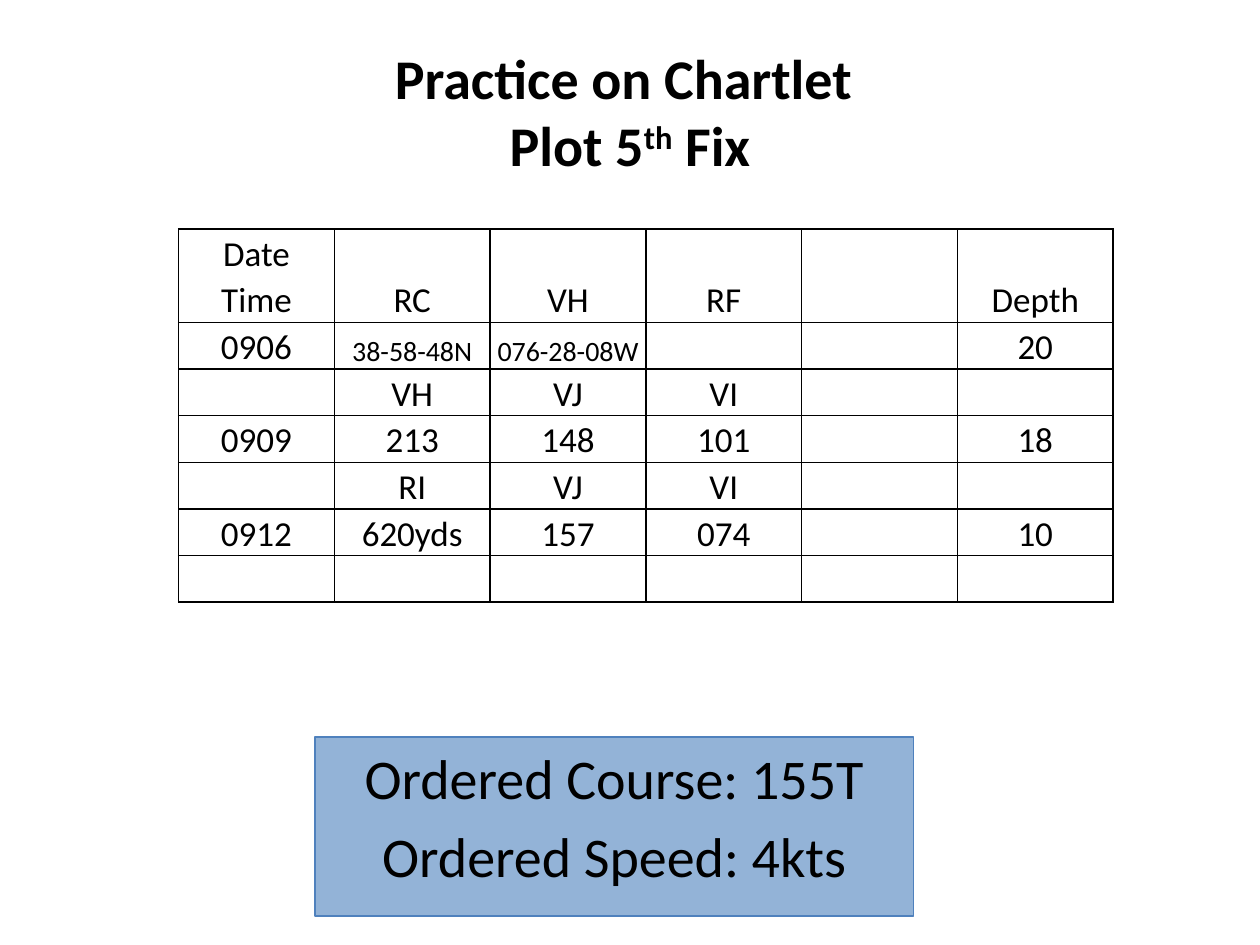
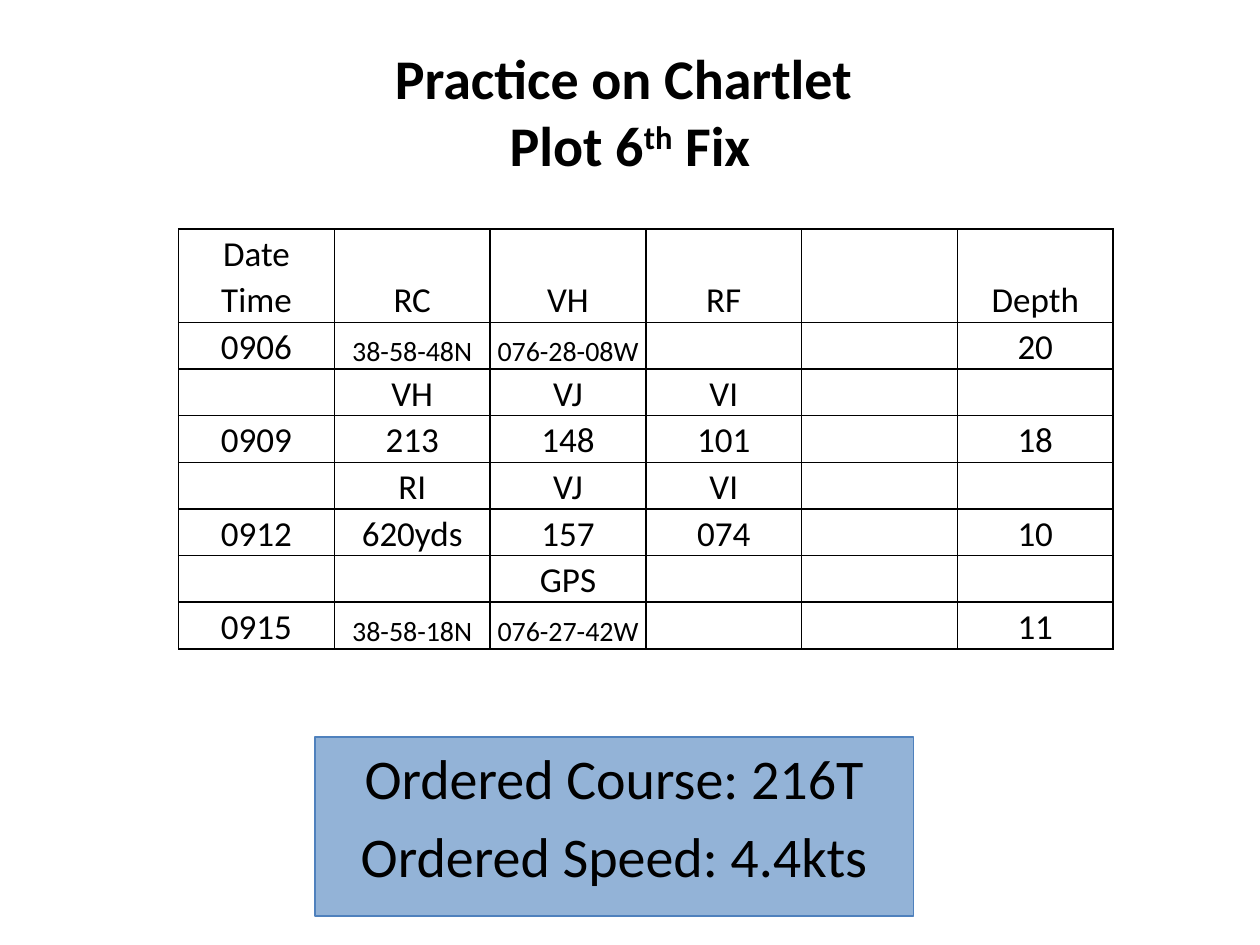
from lxml import etree
from pptx import Presentation
from pptx.dml.color import RGBColor
from pptx.enum.shapes import MSO_SHAPE
from pptx.enum.text import MSO_ANCHOR, PP_ALIGN
from pptx.oxml.ns import qn
from pptx.util import Cm, Pt

CENTER = PP_ALIGN.CENTER
TOP, MIDDLE, BOTTOM = MSO_ANCHOR.TOP, MSO_ANCHOR.MIDDLE, MSO_ANCHOR.BOTTOM
RECTANGLE = MSO_SHAPE.RECTANGLE

# Content: the log grows by one fix per slide
LOG = [
    ["Date", "RC", "VH", "RF", "", "Depth"],
    ["Time", "", "", "", "", ""],
    ["0906", "38-58-48N", "076-28-08W", "", "", "20"],
    ["", "VH", "VJ", "VI", "", ""],
    ["0909", "213", "148", "101", "", "18"],
    ["", "RI", "VJ", "VI", "", ""],
    ["0912", "620yds", "157", "074", "", "10"],
]
SLIDES = [
    {"fix": "5", "rows": LOG + [[""] * 6],
     "orders": ["Ordered Course: 155T", "Ordered Speed: 4kts"]},
    {"fix": "6",
     "rows": LOG + [["", "", "GPS", "", "", ""],
                    ["0915", "38-58-18N", "076-27-42W", "", "", "11"]],
     "orders": ["Ordered Course: 216T", "Ordered Speed: 4.4kts"]},
]

# Shared style
FONT = "Calibri"
BLACK, WHITE, BOX_FILL, BOX_LINE = "000000", "FFFFFF", "93B3D7", "4F81BD"
HEADING_SIZE, CELL_SIZE, POSITION_SIZE = 32, 20, 16
COLUMN_WIDTH, ROW_HEIGHT = Cm(3.14), Cm(0.94)
TITLE_AREA = (Cm(1.27), Cm(0.64), Cm(22.86), Cm(3.18))
ORDERS_AREA = (Cm(6.35), Cm(14.86), Cm(12.07), Cm(3.61))


def color(value):
    return RGBColor.from_string(value)


def add_text(paragraph, text, size=HEADING_SIZE, bold=False, raised=False):
    paragraph.alignment = CENTER
    run = paragraph.add_run()
    run.text = text
    run.font.name = FONT
    run.font.size = Pt(size)
    run.font.bold = bold
    run.font.color.rgb = color(BLACK)
    if raised:
        run.font._element.set("baseline", "30000")


def set_border(cell, side, visible):
    line = etree.SubElement(cell._tc.get_or_add_tcPr(), qn("a:ln" + side), w=str(Pt(1)))
    if visible:
        fill = etree.SubElement(line, qn("a:solidFill"))
        etree.SubElement(fill, qn("a:srgbClr"), val=BLACK)
    else:
        etree.SubElement(line, qn("a:noFill"))


def add_title(slide, fix):
    frame = slide.shapes.add_textbox(*TITLE_AREA).text_frame
    frame.word_wrap = True
    frame.vertical_anchor = MIDDLE
    paragraph = frame.paragraphs[0]
    add_text(paragraph, "Practice on Chartlet ", bold=True)
    paragraph.add_line_break()
    add_text(paragraph, "Plot " + fix, bold=True)
    add_text(paragraph, "th", bold=True, raised=True)
    add_text(paragraph, " Fix", bold=True)


def add_log(slide, rows):
    columns = len(rows[0])
    table = slide.shapes.add_table(len(rows), columns, Cm(3.6), Cm(4.62),
                                   COLUMN_WIDTH * columns, ROW_HEIGHT * len(rows)).table
    table.first_row = table.horz_banding = False
    for column in table.columns:
        column.width = COLUMN_WIDTH
    for row in table.rows:
        row.height = ROW_HEIGHT

    for row_index, row in enumerate(rows):
        for column_index, text in enumerate(row):
            cell = table.cell(row_index, column_index)
            cell.margin_left = cell.margin_right = cell.margin_top = Cm(0.03)
            cell.margin_bottom = 0
            cell.vertical_anchor = BOTTOM
            # Date and Time read as one heading, with no line between them
            hidden = {("Date", "B"), ("Time", "T")}
            for side in "LRTB":
                set_border(cell, side, (text, side) not in hidden)
            cell.fill.solid()
            cell.fill.fore_color.rgb = color(WHITE)
            if text:
                size = POSITION_SIZE if "-" in text else CELL_SIZE
                add_text(cell.text_frame.paragraphs[0], text, size=size)

    # The other headings span both heading rows
    for column_index in range(1, columns):
        table.cell(0, column_index).merge(table.cell(1, column_index))


def add_orders(slide, orders):
    shape = slide.shapes.add_shape(RECTANGLE, *ORDERS_AREA)
    shape.shadow.inherit = False
    shape.fill.solid()
    shape.fill.fore_color.rgb = color(BOX_FILL)
    shape.line.color.rgb = color(BOX_LINE)
    shape.line.width = Pt(0.75)
    frame = shape.text_frame
    frame.word_wrap = True
    frame.vertical_anchor = TOP
    for index, order in enumerate(orders):
        paragraph = frame.add_paragraph() if index else frame.paragraphs[0]
        add_text(paragraph, order)
        if index:
            paragraph.space_before = Pt(6.4)


def main():
    presentation = Presentation()
    presentation.slide_width, presentation.slide_height = Cm(25.4), Cm(19.05)
    blank_layout = presentation.slide_layouts[6]
    for content in SLIDES:
        slide = presentation.slides.add_slide(blank_layout)
        add_log(slide, content["rows"])
        add_title(slide, content["fix"])
        add_orders(slide, content["orders"])
    presentation.save("out.pptx")


if __name__ == "__main__":
    main()
